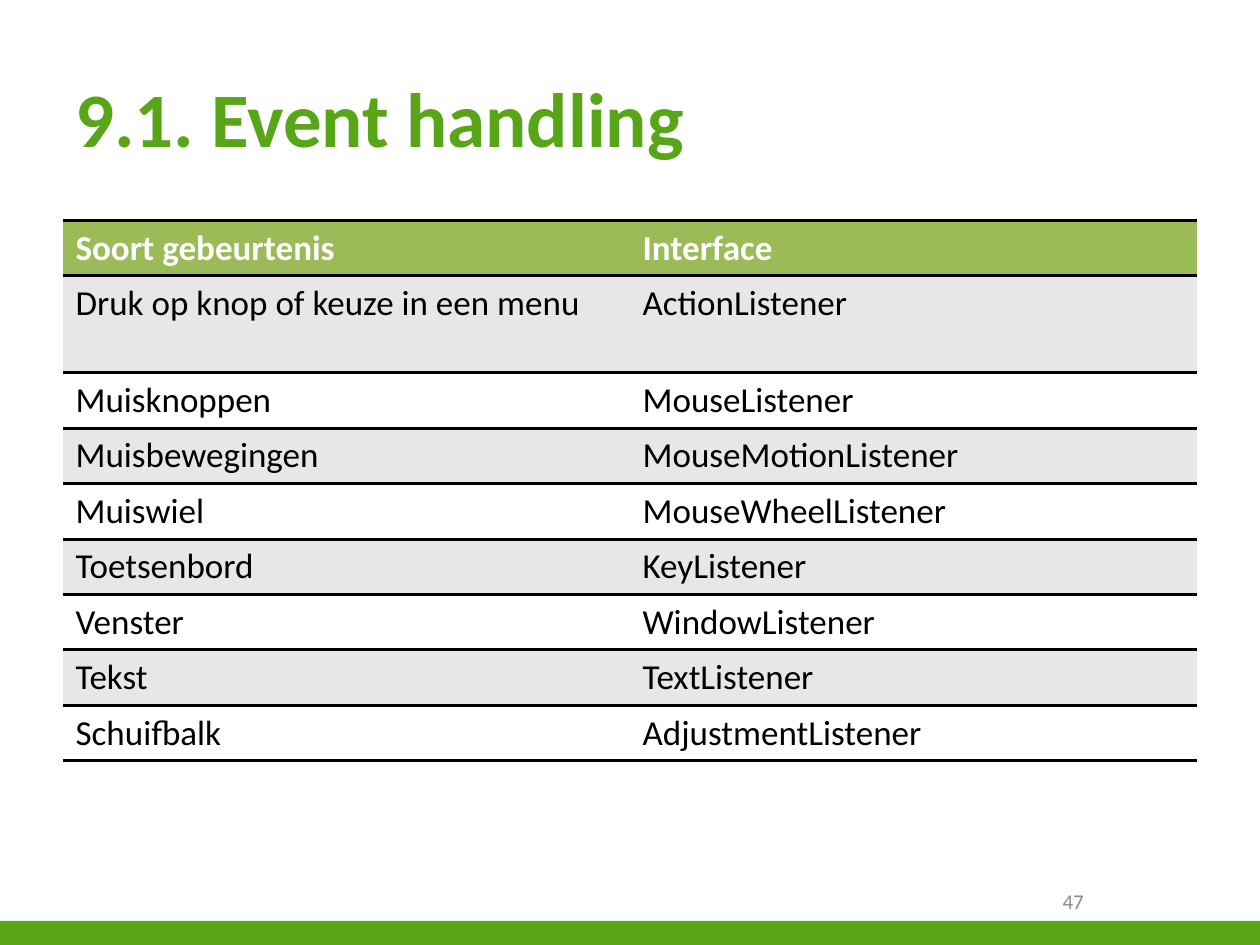
from lxml.etree import SubElement
from pptx import Presentation
from pptx.dml.color import RGBColor
from pptx.enum.shapes import MSO_SHAPE as Shape
from pptx.enum.text import MSO_ANCHOR as Anchor, PP_ALIGN as Align
from pptx.oxml.ns import qn
from pptx.util import Inches, Pt

COLORS = {
    "green": "58A618",
    "header": "9BBB59",
    "band": "E7E7E7",
    "white": "FFFFFF",
    "black": "000000",
    "gray": "8B8B8B",
}
FONT = "Calibri"
NO_STYLE = "{2D5ABB26-0587-4C30-8999-92F81FD0307C}"
TITLE = "9.1. Event handling"
PAGE_NUMBER = "47"
ROWS = [
    ("Soort gebeurtenis", "Interface"),
    ("Druk op knop of keuze in een menu", "ActionListener"),
    ("Muisknoppen", "MouseListener"),
    ("Muisbewegingen", "MouseMotionListener"),
    ("Muiswiel", "MouseWheelListener"),
    ("Toetsenbord", "KeyListener"),
    ("Venster", "WindowListener"),
    ("Tekst", "TextListener"),
    ("Schuifbalk", "AdjustmentListener"),
]
ROW_HEIGHT, TALL_ROW_HEIGHT = 0.44, 0.77
TALL_ROW = 1


def rgb(name):
    return RGBColor.from_string(COLORS[name])


def write(text_frame, text, size, color, bold=False, align=Align.LEFT):
    text_frame.text = text
    paragraph = text_frame.paragraphs[0]
    paragraph.alignment = align
    font = paragraph.runs[0].font
    font.name, font.size, font.bold = FONT, Pt(size), bold
    font.color.rgb = rgb(color)


def add_text(slide, box, text, size, color, **style):
    shape = slide.shapes.add_textbox(*map(Inches, box))
    shape.text_frame.word_wrap = True
    shape.text_frame.vertical_anchor = Anchor.MIDDLE
    write(shape.text_frame, text, size, color, **style)


def add_rules(cell):
    properties = cell._tc.get_or_add_tcPr()
    for edge in ("a:lnT", "a:lnB"):
        line = SubElement(properties, qn(edge), w=str(Pt(2)))
        fill = SubElement(line, qn("a:solidFill"))
        SubElement(fill, qn("a:srgbClr"), val=COLORS["black"])


def add_event_table(slide):
    heights = [ROW_HEIGHT] * len(ROWS)
    heights[TALL_ROW] = TALL_ROW_HEIGHT
    frame = slide.shapes.add_table(
        len(ROWS), len(ROWS[0]), Inches(0.5), Inches(1.75), Inches(9), Inches(sum(heights))
    )
    table = frame.table
    table._tbl.tblPr.find(qn("a:tableStyleId")).text = NO_STYLE
    for index, (row, texts, height) in enumerate(zip(table.rows, ROWS, heights)):
        row.height = Inches(height)
        is_header = index == 0
        background = "header" if is_header else "band" if index % 2 else "white"
        for cell, text in zip(row.cells, texts):
            write(cell.text_frame, text, 20, "white" if is_header else "black", is_header)
            add_rules(cell)
            cell.fill.solid()
            cell.fill.fore_color.rgb = rgb(background)


def main():
    presentation = Presentation()
    presentation.slide_width, presentation.slide_height = Inches(10), Inches(7.5)
    slide = presentation.slides.add_slide(presentation.slide_layouts[6])

    footer = slide.shapes.add_shape(
        Shape.RECTANGLE, Inches(0), Inches(7.31), Inches(10), Inches(0.2)
    )
    footer.shadow.inherit = False
    footer.fill.solid()
    footer.fill.fore_color.rgb = rgb("green")
    footer.line.fill.background()

    add_text(slide, (0.5, 0.3, 9, 1.25), TITLE, 44, "green", bold=True)
    add_event_table(slide)
    add_text(slide, (7.17, 6.95, 1.53, 0.4), PAGE_NUMBER, 12, "gray", align=Align.RIGHT)
    presentation.save("out.pptx")


if __name__ == "__main__":
    main()
